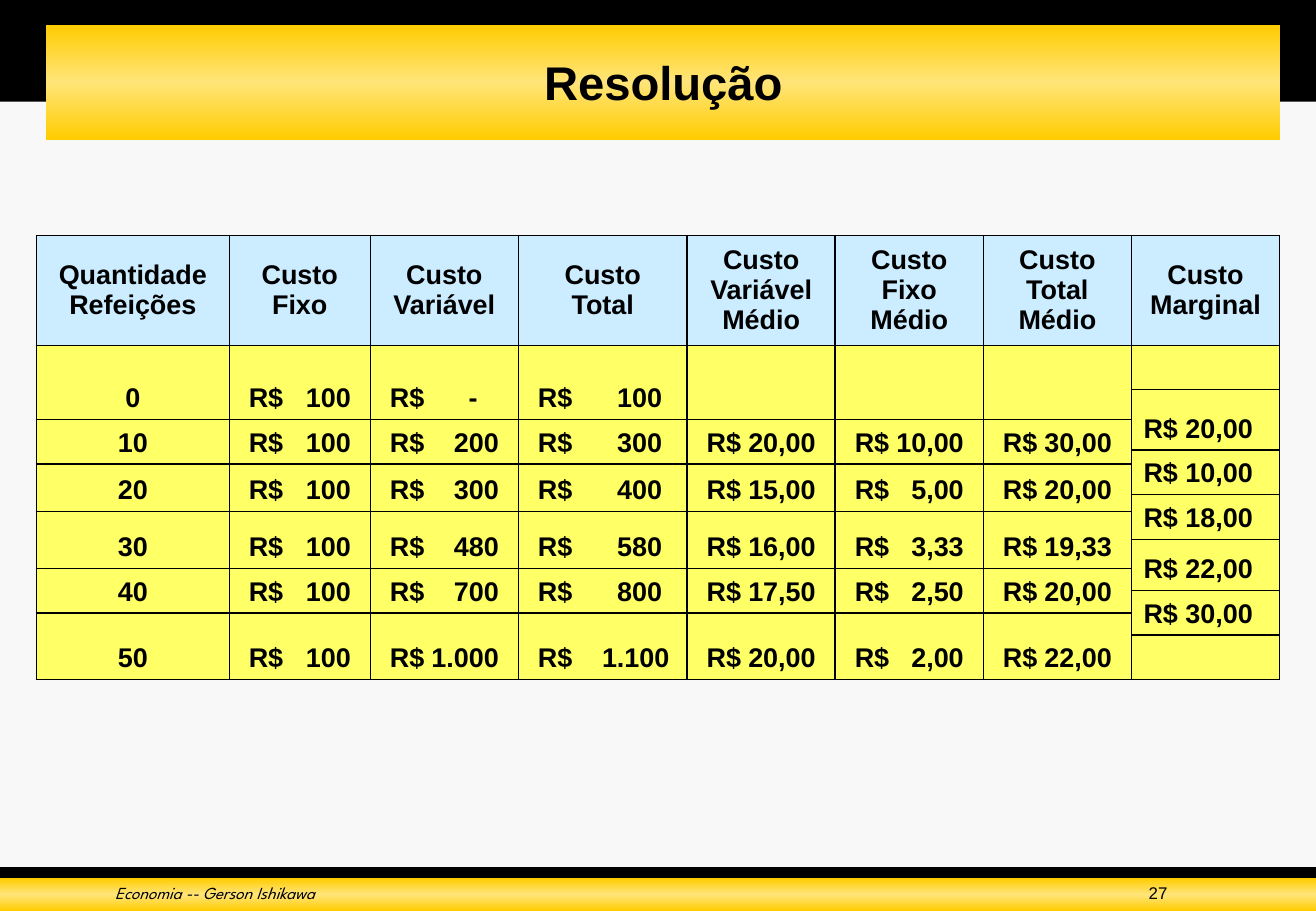
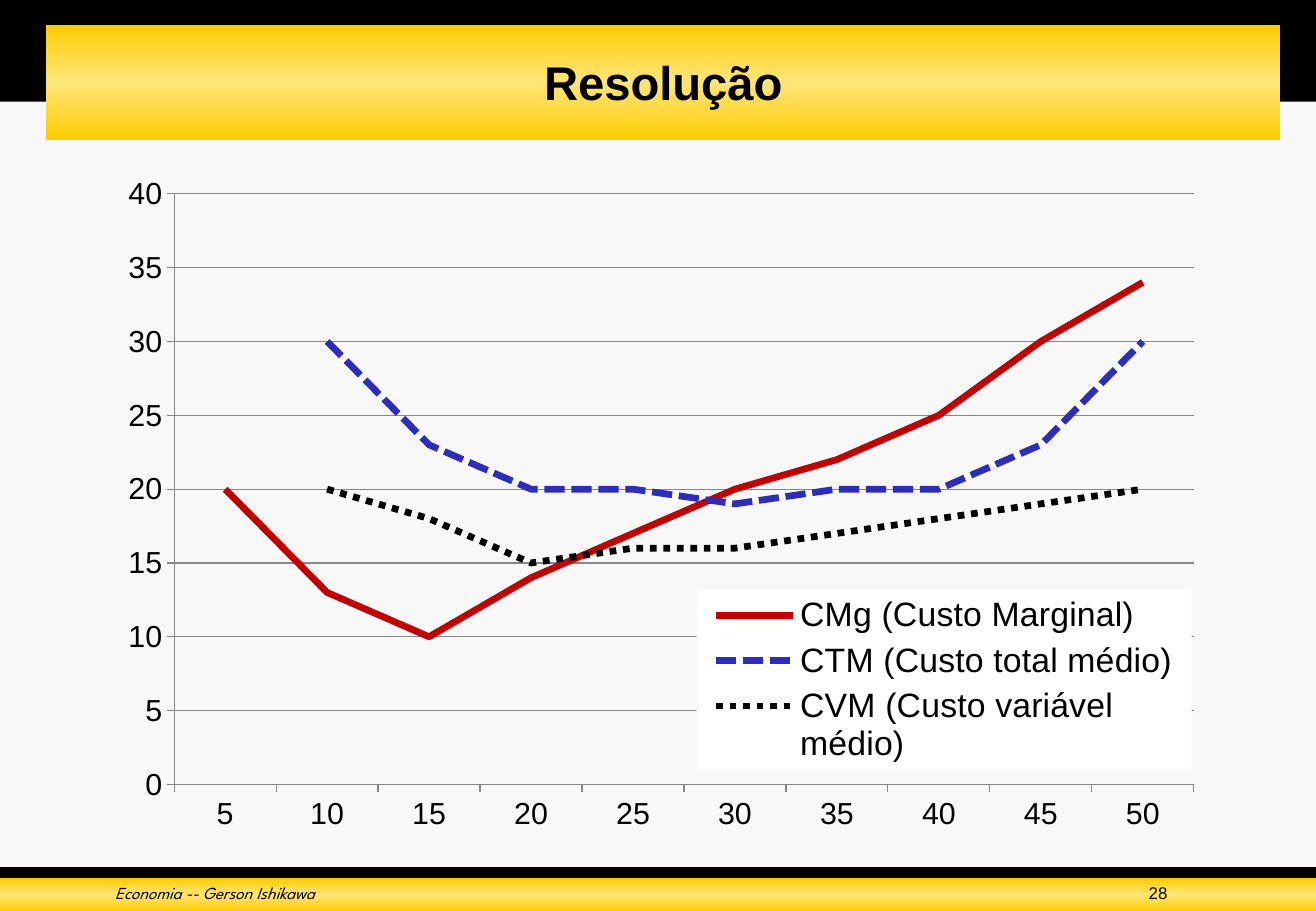
"""Builds two slides on production costs: a cost table and its cost curves."""
from dataclasses import dataclass

from lxml.etree import SubElement
from pptx import Presentation
from pptx.chart.data import CategoryChartData
from pptx.dml.color import RGBColor
from pptx.enum.chart import XL_CHART_TYPE, XL_LEGEND_POSITION, XL_TICK_MARK
from pptx.enum.dml import MSO_LINE
from pptx.enum.shapes import MSO_SHAPE
from pptx.enum.text import MSO_ANCHOR, PP_ALIGN
from pptx.oxml import parse_xml
from pptx.oxml.ns import nsdecls, qn
from pptx.util import Pt


@dataclass(frozen=True)
class Theme:
    paper: str = "F8F8F8"
    black: str = "000000"
    white: str = "FFFFFF"
    gold: str = "FFCC00"
    light_gold: str = "FFE579"
    header: str = "CCECFF"
    body: str = "FFFF66"
    grid: str = "878787"
    red: str = "C00000"
    blue: str = "2D2DB9"
    font: str = "Arial"
    footer_font: str = "League Spartan"
    title_size: float = 28
    legend_size: float = 20
    axis_size: float = 18
    table_size: float = 16
    footer_size: float = 10


T = Theme()
WIDTH, HEIGHT = 780, 540
TITLE_BOX = (27.4, 14.6, 731.5, 68.2)
CHART_BOX = (61.2, 100, 674.6, 402.5)
PLOT_BOX = (42, 14.9, 604.4, 350.2)
LEGEND_BOX = (351.8, 249.3, 293.4, 107.3)


def rgb(color):
    return RGBColor.from_string(color)


class Deck:
    def __init__(self):
        self.prs = Presentation()
        self.prs.slide_width, self.prs.slide_height = Pt(WIDTH), Pt(HEIGHT)

    def slide(self, title, number):
        self.s = self.prs.slides.add_slide(self.prs.slide_layouts[6])
        fill = self.s.background.fill
        fill.solid()
        fill.fore_color.rgb = rgb(T.paper)
        self.band(0, 0, WIDTH, 60.3)
        self.band(*TITLE_BOX, gold=True)
        self.band(0, 514, WIDTH, 26)
        self.band(0, 520.6, WIDTH, 19.4, gold=True)
        self.text(TITLE_BOX, title, T.title_size, PP_ALIGN.CENTER,
                  MSO_ANCHOR.MIDDLE, bold=True)
        self.text((61.2, 519.8, 447.8, 20.2), "Economia -- Gerson Ishikawa",
                  T.footer_size, font=T.footer_font, italic=True)
        self.text((617, 519.8, 82, 20.2), number, T.footer_size, PP_ALIGN.RIGHT)

    def band(self, x, y, w, h, gold=False):
        sp = self.s.shapes.add_shape(MSO_SHAPE.RECTANGLE, Pt(x), Pt(y), Pt(w), Pt(h))
        sp.shadow.inherit = False
        sp.line.fill.background()
        if not gold:
            sp.fill.solid()
            sp.fill.fore_color.rgb = rgb(T.black)
            return
        sp.fill.gradient()
        sp.fill.gradient_angle = 90
        stops = sp._element.spPr.find(".//" + qn("a:gsLst"))
        stops.clear()
        for pos, color in ((0, T.gold), (50, T.light_gold), (100, T.gold)):
            stop = SubElement(stops, qn("a:gs"), pos=str(pos * 1000))
            SubElement(stop, qn("a:srgbClr"), val=color)

    def run(self, p, text, size, font=T.font, bold=False, italic=False):
        r = p.add_run()
        r.text = text
        r.font.name, r.font.size = font, Pt(size)
        r.font.bold, r.font.italic = bold, italic
        r.font.color.rgb = rgb(T.black)

    def text(self, box, text, size, align=PP_ALIGN.LEFT, anchor=MSO_ANCHOR.TOP, **style):
        tf = self.s.shapes.add_textbox(*map(Pt, box)).text_frame
        tf.word_wrap = True
        tf.vertical_anchor = anchor
        p = tf.paragraphs[0]
        p.alignment = align
        self.run(p, text, size, **style)

    def table(self, x, y, widths, heights):
        table = self.s.shapes.add_table(
            len(heights), len(widths), Pt(x), Pt(y), Pt(sum(widths)), Pt(sum(heights))).table
        table.first_row = table.horz_banding = False
        for column, width in zip(table.columns, widths):
            column.width = Pt(width)
        for row, height in zip(table.rows, heights):
            row.height = Pt(height)
        for i, cell in enumerate(table.iter_cells()):
            cell.fill.solid()
            cell.fill.fore_color.rgb = rgb(T.header if i < len(widths) else T.body)
            cell.margin_top = cell.margin_bottom = 0
            for k, side in enumerate(("lnL", "lnR", "lnT", "lnB")):
                cell._tc.tcPr.insert(k, parse_xml(
                    f'<a:{side} {nsdecls("a")} w="12700"><a:solidFill>'
                    f'<a:srgbClr val="{T.black}"/></a:solidFill></a:{side}>'))
        return table

    def cell(self, cell, text, align=PP_ALIGN.CENTER, anchor=MSO_ANCHOR.BOTTOM,
             left=7.2, tab=None):
        cell.margin_left, cell.margin_right = Pt(left), Pt(7.2)
        cell.margin_top = cell.margin_bottom = Pt(3.6)
        cell.vertical_anchor = anchor
        p = cell.text_frame.paragraphs[0]
        p.alignment = align
        if tab:
            tabs = SubElement(p._p.get_or_add_pPr(), qn("a:tabLst"))
            SubElement(tabs, qn("a:tab"), pos=str(Pt(tab)), algn="r")
        self.run(p, text, T.table_size, bold=True)

    def layout(self, box, inner=False):
        target = '<c:layoutTarget val="inner"/>' if inner else ""
        whole = CHART_BOX[2:] * 2
        values = "".join(f'<c:{k} val="{part / full:.4f}"/>'
                         for k, part, full in zip("xywh", box, whole))
        return parse_xml(
            f'<c:layout {nsdecls("c")}><c:manualLayout>{target}<c:xMode val="edge"/>'
            f'<c:yMode val="edge"/>{values}</c:manualLayout></c:layout>')

    def line_chart(self, categories, curves):
        data = CategoryChartData()
        data.categories = categories
        for name, values, _, _ in curves:
            data.add_series(name, values)
        chart = self.s.shapes.add_chart(
            XL_CHART_TYPE.LINE, *map(Pt, CHART_BOX), data).chart
        chart.has_title = False
        chart.font.name, chart.font.size = T.font, Pt(T.axis_size)
        chart.font.color.rgb = rgb(T.black)
        chart.plots[0].vary_by_categories = False
        for series, (_, _, color, dash) in zip(chart.plots[0].series, curves):
            series.smooth = False
            series.format.line.width = Pt(4)
            series.format.line.color.rgb = rgb(color)
            series.format.line.dash_style = dash
        self.axes(chart)
        area = chart._chartSpace.chart.plotArea
        for old in area.findall(qn("c:layout")):
            area.remove(old)
        area.insert(0, self.layout(PLOT_BOX, inner=True))
        self.legend(chart)

    def axes(self, chart):
        value = chart.value_axis
        value.minimum_scale, value.maximum_scale, value.major_unit = 0, 40, 5
        value.has_major_gridlines = True
        for axis in (value, chart.category_axis):
            axis.major_tick_mark = XL_TICK_MARK.OUTSIDE
            axis.minor_tick_mark = XL_TICK_MARK.NONE
        for part in (value, chart.category_axis, value.major_gridlines):
            part.format.line.color.rgb = rgb(T.grid)
            part.format.line.width = Pt(0.75)

    def legend(self, chart):
        chart.has_legend = True
        legend = chart.legend
        legend.position = XL_LEGEND_POSITION.RIGHT
        legend.include_in_layout = False
        legend.font.name, legend.font.size = T.font, Pt(T.legend_size)
        legend.font.color.rgb = rgb(T.black)
        element = legend._element
        for old in element.findall(qn("c:layout")):
            element.remove(old)
        element.find(qn("c:legendPos")).addnext(self.layout(LEGEND_BOX))
        element.find(qn("c:txPr")).addprevious(parse_xml(
            f'<c:spPr {nsdecls("c", "a")}><a:solidFill><a:srgbClr val="{T.white}"/>'
            '</a:solidFill></c:spPr>'))


HEADERS = ("Quantidade Refeições", "Custo Fixo", "Custo Variável", "Custo Total",
           "Custo Variável Médio", "Custo Fixo Médio", "Custo Total Médio", "Custo Marginal")
COSTS = (
    ("0", "100", "-", "100", "", "", ""),
    ("10", "100", "200", "300", "20,00", "10,00", "30,00"),
    ("20", "100", "300", "400", "15,00", "5,00", "20,00"),
    ("30", "100", "480", "580", "16,00", "3,33", "19,33"),
    ("40", "100", "700", "800", "17,50", "2,50", "20,00"),
    ("50", "100", "1.000", "1.100", "20,00", "2,00", "22,00"),
)
MARGINAL = ("20,00", "10,00", "18,00", "22,00", "30,00")
COLUMN_WIDTHS = (114.3, 83.6, 87.8, 100, *[87.8] * 4)
ROW_HEIGHTS = (65, 26.2, 17.8, 18, 8, 18, 10, 16.9, 17, 13, 13, 13, 26.5)
INDENT = 11.6
TOTAL_COLUMN, MARGINAL_COLUMN = 3, 7
RIGHT_GAPS = {"-": 24.2, "1.100": 10.5}

deck = Deck()
deck.slide("Resolução", "27")
table = deck.table(21.6, 139.7, COLUMN_WIDTHS, ROW_HEIGHTS)
for c, header in enumerate(HEADERS):
    deck.cell(table.cell(0, c), header, anchor=MSO_ANCHOR.MIDDLE)
for i, costs in enumerate(COSTS):
    top = 1 + 2 * i
    for c, cost in enumerate(costs):
        cell = table.cell(top, c)
        cell.merge(table.cell(top + 1, c))
        if c == 0:
            deck.cell(cell, cost)
        elif cost:
            gap = RIGHT_GAPS.get(cost, 14.8 if c == TOTAL_COLUMN else INDENT)
            deck.cell(cell, f"R$\t{cost}", PP_ALIGN.LEFT, left=INDENT,
                      tab=COLUMN_WIDTHS[c] - INDENT - gap)
for i, cost in enumerate(MARGINAL):
    top = 2 + 2 * i
    cell = table.cell(top, MARGINAL_COLUMN)
    cell.merge(table.cell(top + 1, MARGINAL_COLUMN))
    deck.cell(cell, f"R$ {cost}", PP_ALIGN.LEFT)

deck.slide("Resolução", "28")
deck.line_chart([str(q) for q in range(5, 55, 5)], (
    ("CMg (Custo Marginal)", (20, 13, 10, 14, 17, 20, 22, 25, 30, 34),
     T.red, MSO_LINE.SOLID),
    ("CTM (Custo total médio)", (None, 30, 23, 20, 20, 19, 20, 20, 23, 30),
     T.blue, MSO_LINE.SQUARE_DOT),
    ("CVM (Custo variável médio)", (None, 20, 18, 15, 16, 16, 17, 18, 19, 20),
     T.black, MSO_LINE.ROUND_DOT),
))
deck.prs.save("out.pptx")
